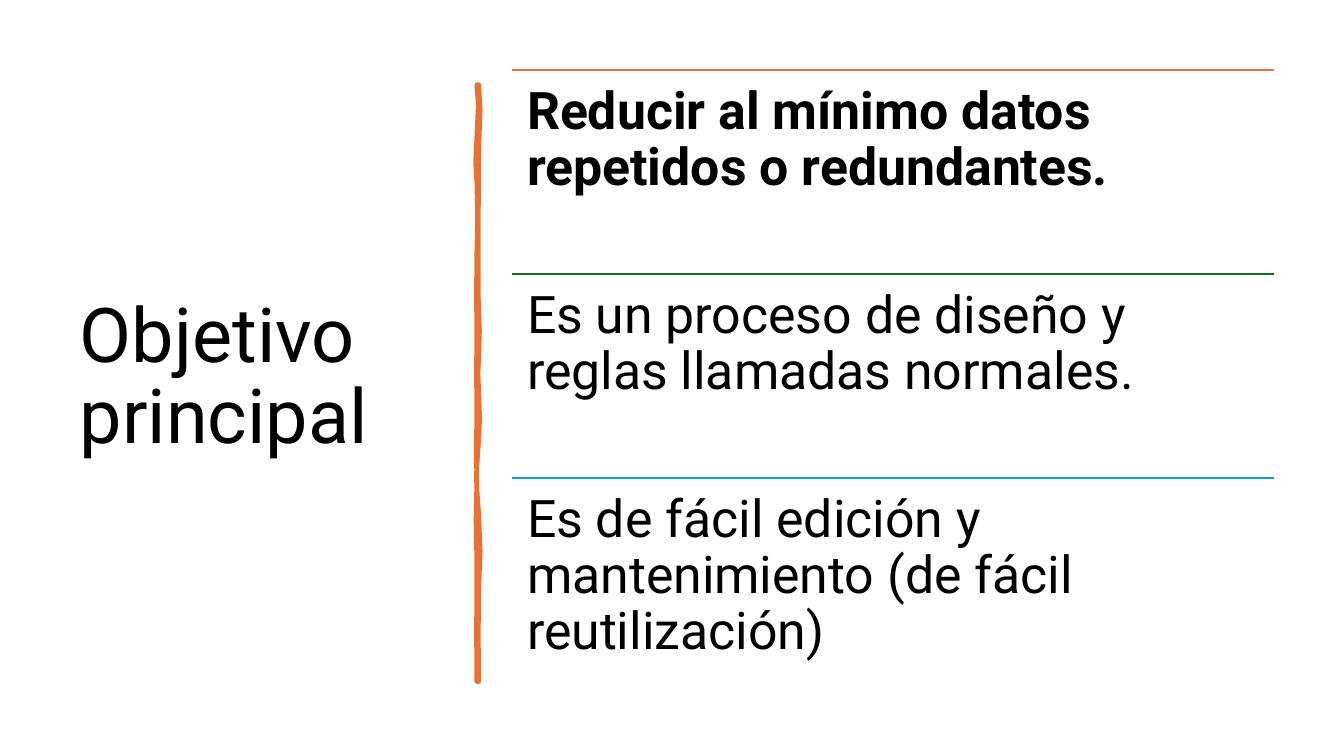
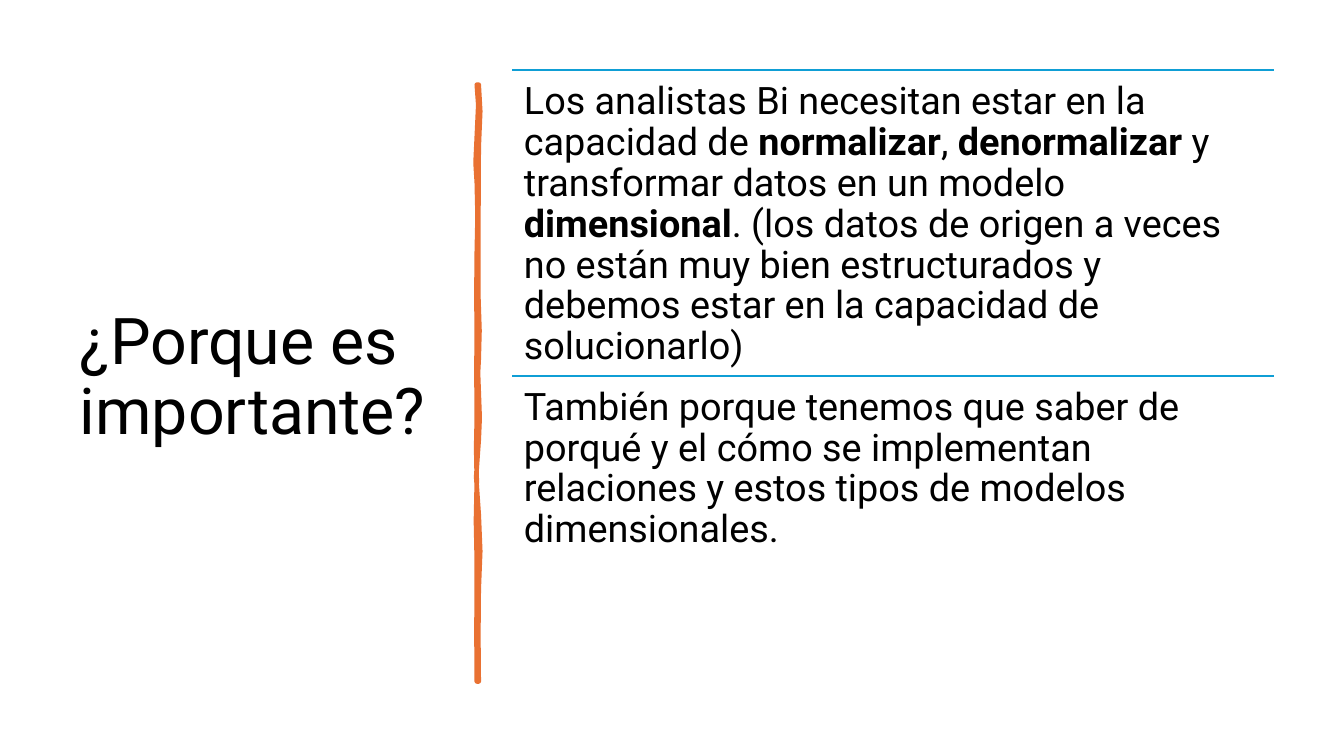
from lxml import etree
from pptx import Presentation
from pptx import util as u
from pptx.dml.color import RGBColor
from pptx.enum import shapes, text
from pptx.oxml.ns import qn

PX = 9525  # EMU per pixel, 96 pixels to the inch
FONT = "Roboto"
BLACK, ORANGE, GREEN, BLUE = "000000", "E97132", "196B24", "0F9ED5"
TOP, LIST_LEFT, LIST_WIDTH, LIST_HEIGHT = 67, 488, 725, 582

# Brush stroke outline in tenths of a pixel: down the right edge, up the left one
BRUSH = [
    (4560, 806), (4574, 1060), (4560, 1400), (4556, 2170), (4556, 2820),
    (4567, 3150), (4560, 3420), (4553, 3550), (4569, 3980), (4560, 4190),
    (4535, 4540), (4560, 4900), (4574, 5250), (4560, 5610), (4556, 6050),
    (4560, 6490), (4541, 6490), (4538, 6050), (4541, 5350), (4533, 4960),
    (4541, 4580), (4535, 4260), (4541, 3980), (4537, 3500), (4541, 3220),
    (4537, 2800), (4541, 2400), (4548, 2060), (4541, 1740), (4529, 1550),
    (4555, 1000), (4541, 806),
]

# Each slide: title, title size, text size, inset, items.
# Each item: line colour and its spans as (wording, bold).
SLIDES = [
    ("Objetivo principal", 54, 37, 14, [
        (ORANGE, [("Reducir al mínimo datos repetidos o redundantes.", True)]),
        (GREEN, [("Es un proceso de diseño y reglas llamadas normales.", False)]),
        (BLUE, [("Es de fácil edición y mantenimiento (de fácil reutilización)", False)]),
    ]),
    ("¿Porque es importante?", 46, 27, 11, [
        (BLUE, [
            ("Los analistas Bi necesitan estar en la capacidad de ", False),
            ("normalizar", True),
            (", ", False),
            ("denormalizar", True),
            (" y transformar datos en un modelo ", False),
            ("dimensional", True),
            (". (los datos de origen a veces no están muy bien estructurados y "
             "debemos estar en la capacidad de solucionarlo)", False),
        ]),
        (BLUE, [("También porque tenemos que saber de porqué y el cómo se implementan "
                 "relaciones y estos tipos de modelos dimensionales.", False)]),
    ]),
]


def color(value):
    return RGBColor.from_string(value)


def add_text(page, area, spans, size, insets, anchor):
    """Add a one-paragraph box; area is left, top, width, height in px."""
    box = page.shapes.add_textbox(*(length * PX for length in area))
    frame = box.text_frame
    frame.word_wrap = True
    frame.vertical_anchor = anchor
    frame.margin_left = frame.margin_right = insets[0] * PX
    frame.margin_top = frame.margin_bottom = insets[1] * PX
    para = frame.paragraphs[0]
    para.line_spacing = 0.9
    para.font.name = FONT
    para.font.size = u.Pt(size)
    para.font.color.rgb = color(BLACK)
    for wording, bold in spans:
        span = para.add_run()
        span.text = wording
        span.font.bold = bold


deck = Presentation()
deck.slide_width, deck.slide_height = 1280 * PX, 720 * PX

for title, title_size, text_size, inset, items in SLIDES:
    page = deck.slides.add_slide(deck.slide_layouts[6])
    add_text(page, (66, TOP, 359, 587), [(title, False)], title_size,
             (10, 5), text.MSO_ANCHOR.MIDDLE)

    builder = page.shapes.build_freeform(*BRUSH[0], scale=PX / 10)
    builder.add_line_segments(BRUSH[1:], close=True)
    brush = builder.convert_to_shape()
    brush.shadow.inherit = False
    brush.fill.solid()
    brush.fill.fore_color.rgb = color(ORANGE)
    brush.line.color.rgb = color(ORANGE)
    brush.line.width = u.Pt(3.25)
    etree.SubElement(brush.line._get_or_add_ln(), qn("a:round"))

    row_height = LIST_HEIGHT // len(items)
    for row, (line_color, spans) in enumerate(items):
        top = TOP + row * row_height
        rule = page.shapes.add_connector(
            shapes.MSO_CONNECTOR.STRAIGHT, LIST_LEFT * PX, top * PX,
            (LIST_LEFT + LIST_WIDTH) * PX, top * PX)
        rule.line.color.rgb = color(line_color)
        rule.line.width = u.Pt(1.5)
        etree.SubElement(rule._element.spPr, qn("a:effectLst"))
        add_text(page, (LIST_LEFT, top, LIST_WIDTH, row_height), spans, text_size,
                 (inset, inset), text.MSO_ANCHOR.TOP)

deck.save("out.pptx")
